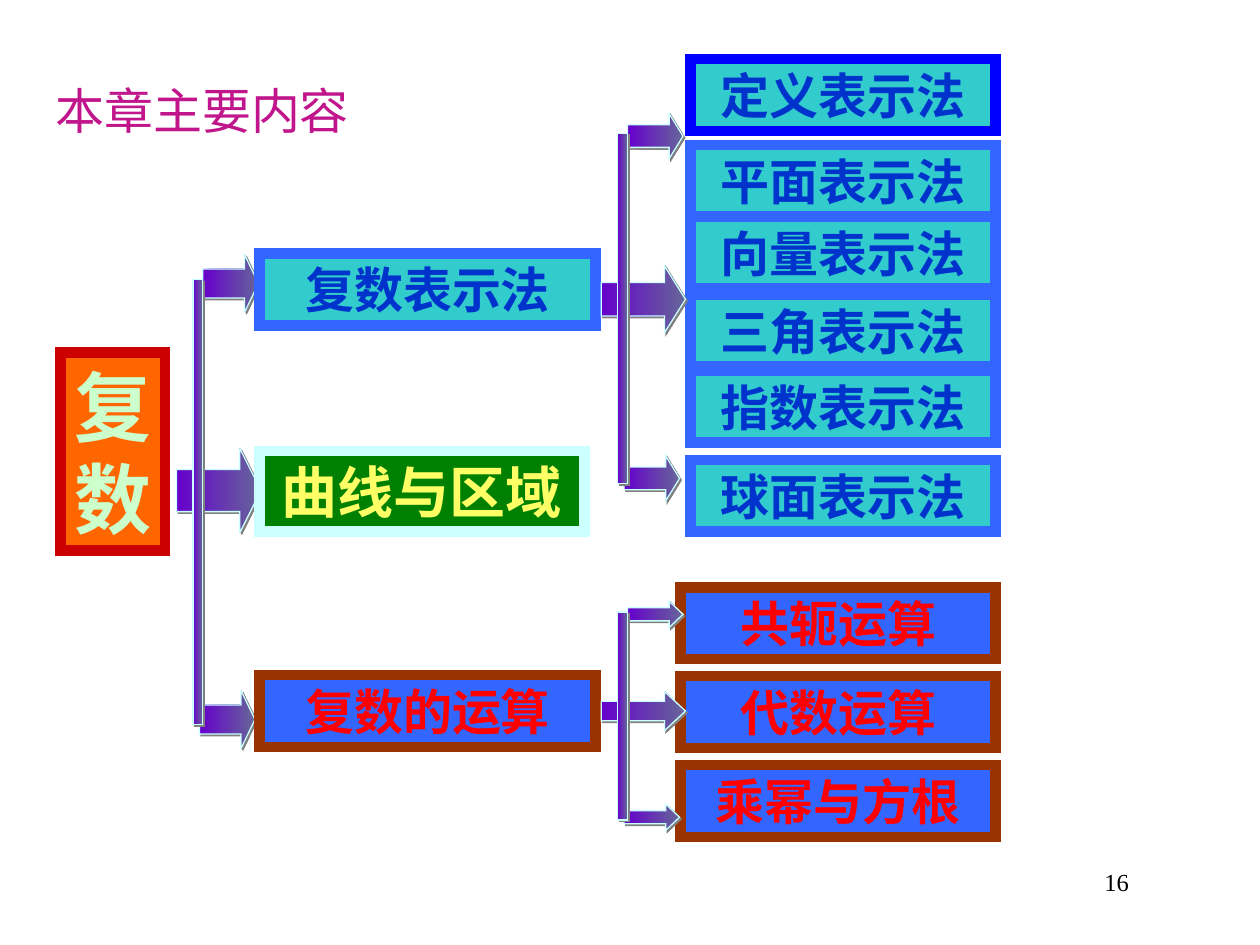
import pptx
import pptx.dml.color
import pptx.enum.shapes
import pptx.enum.text
import pptx.oxml
import pptx.oxml.ns
import pptx.util
from lxml import etree

Cm = pptx.util.Cm
Pt = pptx.util.Pt
Shape = pptx.enum.shapes.MSO_SHAPE
Align = pptx.enum.text.PP_ALIGN
Anchor = pptx.enum.text.MSO_ANCHOR
qn = pptx.oxml.ns.qn


def colour(hex_string):
    return pptx.dml.color.RGBColor.from_string(hex_string)


class Diagram:
    latin = "Times New Roman"
    chinese = "Noto Sans CJK SC"
    gradient = ("6600CC", "666699")
    edge = "CCFFFF"
    shade = "808080"

    def __init__(self, slide):
        self.slide = slide

    def put_words(self, frame, words, size, ink, bold=False, align=Align.CENTER, anchor=Anchor.MIDDLE):
        frame.word_wrap = True
        frame.vertical_anchor = anchor
        frame.text = words
        paragraph = frame.paragraphs[0]
        paragraph.alignment = align
        font = paragraph.runs[0].font
        font.name = self.latin
        font.size = Pt(size)
        font.bold = bold
        font.color.rgb = colour(ink)
        east_asian = etree.SubElement(paragraph.runs[0]._r.get_or_add_rPr(), qn("a:ea"))
        east_asian.set("typeface", self.chinese)
        return paragraph

    def outline(self, shape, width, tone):
        shape.line.width = Pt(width)
        shape.line.color.rgb = colour(tone)
        etree.SubElement(shape.line._get_or_add_ln(), qn("a:miter"), lim="800000")

    def label(self, words, left, top, width, height, size, ink, align, anchor):
        box = self.slide.shapes.add_textbox(Cm(left), Cm(top), Cm(width), Cm(height))
        self.put_words(box.text_frame, words, size, ink, align=align, anchor=anchor)

    def topic(self, words, left, top, width, height, fill, border, ink, size=28):
        box = self.slide.shapes.add_shape(Shape.RECTANGLE, Cm(left), Cm(top), Cm(width), Cm(height))
        box.shadow.inherit = False
        box.fill.solid()
        box.fill.fore_color.rgb = colour(fill)
        self.outline(box, 6, border)
        return self.put_words(box.text_frame, words, size, ink, bold=True)

    def purple(self, group, kind, left, top, width, height):
        piece = group.shapes.add_shape(kind, Cm(left), Cm(top), Cm(width), Cm(height))
        piece.fill.gradient()
        piece.fill.gradient_angle = 0
        for stop, tone in zip(piece.fill.gradient_stops, self.gradient):
            stop.color.rgb = colour(tone)
        self.outline(piece, 0.75, self.edge)
        piece.shadow.inherit = False
        effects = piece._element.spPr.find(qn("a:effectLst"))
        shadow = etree.SubElement(effects, qn("a:outerShdw"), dist=str(Pt(1.4)), dir="2700000")
        etree.SubElement(shadow, qn("a:srgbClr"), val=self.shade)
        return piece

    def arrow(self, group, left, top, width, height):
        piece = self.purple(group, Shape.RIGHT_ARROW, left, top, width, height)
        piece.adjustments[0] = 0.5
        piece.adjustments[1] = width / 4 / min(width, height)

    def bracket(self, left, bar_top, bar_height, upper, middle, lower, branch_height, stem_height):
        group = self.slide.shapes.add_group_shape()
        self.arrow(group, left + 0.13, lower, 1.12, branch_height)
        self.arrow(group, left + 0.2, upper, 1.12, branch_height)
        self.arrow(group, left - 0.33, middle, 1.7, stem_height)
        self.purple(group, Shape.RECTANGLE, left, bar_top, 0.2, bar_height)


def main():
    deck = pptx.Presentation()
    deck.slide_width = Cm(25.4)
    deck.slide_height = Cm(19.05)
    diagram = Diagram(deck.slides.add_slide(deck.slide_layouts[6]))

    diagram.label("16", 17.73, 17.35, 5.28, 1.27, 14, "000000", Align.RIGHT, Anchor.TOP)
    diagram.label("本章主要内容", 0.58, 1.27, 6.99, 1.91, 28, "C1158C", Align.CENTER, Anchor.MIDDLE)

    root = diagram.topic("复数", 1.22, 7.11, 2.11, 3.99, "FF6600", "CC0000", "CCFFCC", 44)
    root.line_spacing = Pt(52.8)
    diagram.bracket(3.89, 5.64, 8.97, 5.13, 9.04, 13.92, 1.17, 1.7)

    notation = ("33CCCC", "3366FF", "0033CC")
    operation = ("3366FF", "993300", "FF0000")
    diagram.topic("复数表示法", 5.23, 5.11, 6.78, 1.45, *notation)
    diagram.topic("曲线与区域", 5.23, 9.09, 6.55, 1.63, "008000", "CCFFFF", "FFFF66", 32)
    diagram.topic("复数的运算", 5.23, 13.61, 6.78, 1.45, *operation)

    diagram.topic("定义表示法", 13.92, 1.19, 6.15, 1.45, "33CCCC", "0000FF", "0033CC")
    forms = {"平面": 2.92, "向量": 4.37, "三角": 5.94, "指数": 7.47, "球面": 9.27}
    for form, top in forms.items():
        diagram.topic(form + "表示法", 13.92, top, 6.15, 1.45, *notation)
    diagram.bracket(12.45, 2.69, 7.06, 2.29, 5.36, 9.19, 0.91, 1.35)

    for row, name in enumerate(("共轭运算", "代数运算", "乘幂与方根")):
        diagram.topic(name, 13.72, 11.84 + 1.79 * row, 6.35, 1.45, *operation)
    diagram.bracket(12.45, 12.34, 4.19, 12.12, 13.94, 16.21, 0.53, 0.79)

    deck.save("out.pptx")


if __name__ == "__main__":
    main()
